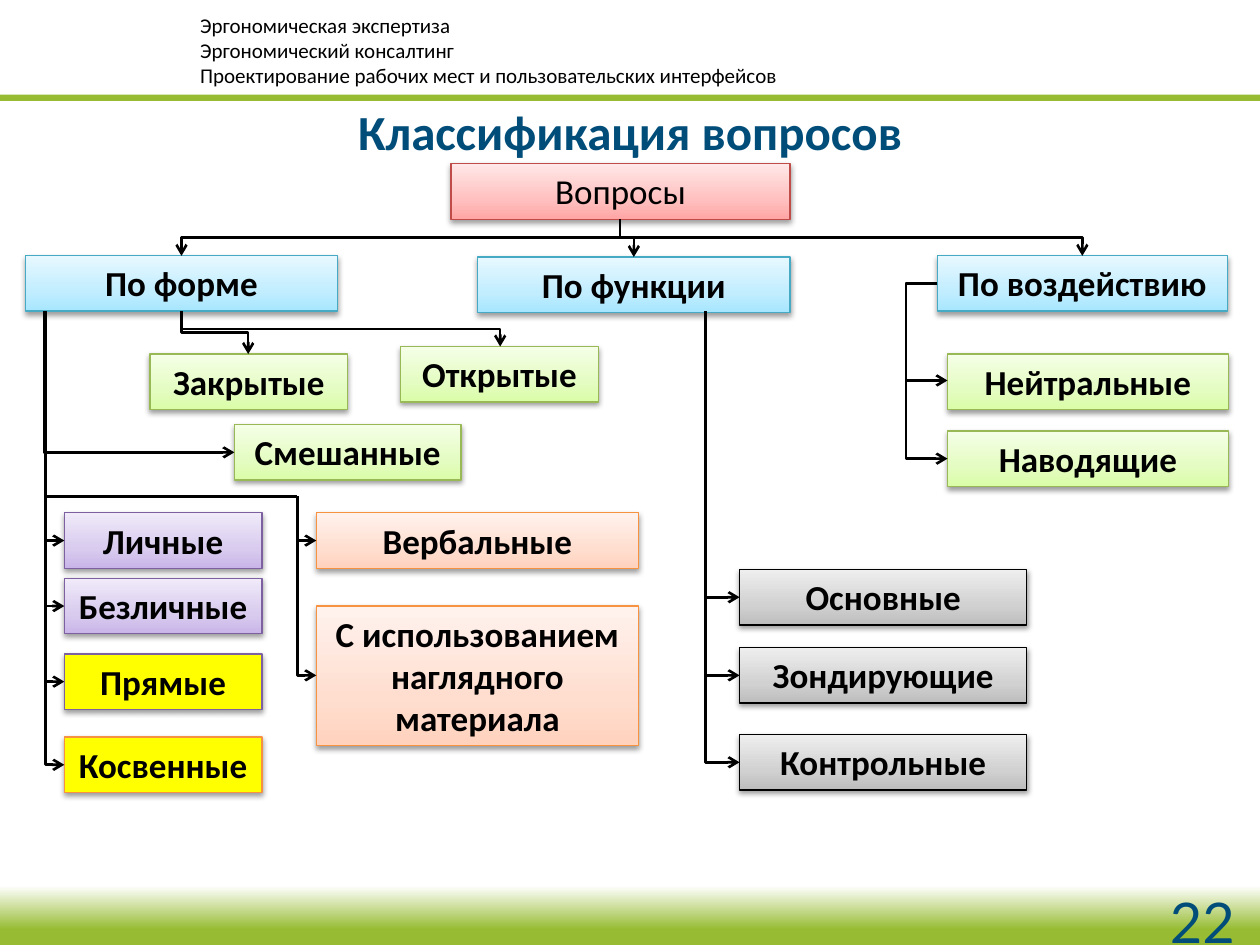
"""Build the slide that classifies interview questions as a tree of boxes."""
from copy import deepcopy
from typing import NamedTuple, Optional

from lxml import etree
from pptx import Presentation
from pptx.dml.color import RGBColor
from pptx.enum.shapes import MSO_CONNECTOR, MSO_SHAPE
from pptx.enum.text import MSO_ANCHOR, MSO_AUTO_SIZE, PP_ALIGN
from pptx.oxml.ns import qn
from pptx.util import Pt

PX = 9144
RECTANGLE = MSO_SHAPE.RECTANGLE
ELBOW, STRAIGHT = MSO_CONNECTOR.ELBOW, MSO_CONNECTOR.STRAIGHT
TOP, MIDDLE = MSO_ANCHOR.TOP, MSO_ANCHOR.MIDDLE
GROW = MSO_AUTO_SIZE.SHAPE_TO_FIT_TEXT
LEFT, CENTER, RIGHT = PP_ALIGN.LEFT, PP_ALIGN.CENTER, PP_ALIGN.RIGHT

BLACK = RGBColor(0x00, 0x00, 0x00)
WHITE = RGBColor(0xFF, 0xFF, 0xFF)
NAVY = RGBColor(0x00, 0x4D, 0x79)
BRAND_GREEN = RGBColor(0x97, 0xBC, 0x33)
YELLOW = RGBColor(0xFF, 0xFF, 0x00)
RED_EDGE = RGBColor(0xBF, 0x4C, 0x48)
BLUE_EDGE = RGBColor(0x46, 0xAA, 0xC5)
GREEN_EDGE = RGBColor(0x98, 0xB9, 0x55)
PURPLE_EDGE = RGBColor(0x7D, 0x60, 0xA0)
ORANGE_EDGE = RGBColor(0xF6, 0x92, 0x40)
RED_TINTS = RGBColor(0xFF, 0xA6, 0xA5), RGBColor(0xFF, 0xC0, 0xBF), RGBColor(0xFF, 0xE7, 0xE7)
BLUE_TINTS = RGBColor(0xA7, 0xE6, 0xFF), RGBColor(0xC1, 0xED, 0xFF), RGBColor(0xE7, 0xF8, 0xFF)
GREEN_TINTS = RGBColor(0xDA, 0xFD, 0xA7), RGBColor(0xE4, 0xFC, 0xC2), RGBColor(0xF5, 0xFF, 0xE7)
GREY_TINTS = RGBColor(0xBD, 0xBD, 0xBD), RGBColor(0xD1, 0xD1, 0xD1), RGBColor(0xEE, 0xEE, 0xEE)
PURPLE_TINTS = RGBColor(0xC9, 0xB5, 0xE8), RGBColor(0xD8, 0xCB, 0xEE), RGBColor(0xF0, 0xEA, 0xF9)
ORANGE_TINTS = RGBColor(0xFF, 0xD2, 0xBD), RGBColor(0xFF, 0xDE, 0xD0), RGBColor(0xFF, 0xF2, 0xED)


class Style(NamedTuple):
    tints: tuple
    edge: RGBColor
    bold: bool = True


class Box(NamedTuple):
    label: str
    left: int
    top: int
    width: int
    style: Style
    height: int = 44


class Link(NamedTuple):
    x1: int
    y1: int
    x2: int
    y2: int


ROOT = Style(RED_TINTS, RED_EDGE, False)
GROUP = Style(BLUE_TINTS, BLUE_EDGE)
KIND = Style(GREEN_TINTS, GREEN_EDGE)
ROLE = Style(GREY_TINTS, BLACK)
PERSONAL = Style(PURPLE_TINTS, PURPLE_EDGE)
MEDIUM = Style(ORANGE_TINTS, ORANGE_EDGE)
DIRECT = Style((YELLOW,), PURPLE_EDGE)
INDIRECT = Style((YELLOW,), ORANGE_EDGE)

BOXES = (
    Box("Вопросы", 358, 130, 269, ROOT),
    Box("По форме", 20, 203, 248, GROUP),
    Box("По функции", 379, 204, 248, GROUP),
    Box("По воздействию", 744, 203, 230, GROUP),
    Box("Нейтральные", 752, 281, 223, KIND),
    Box("Наводящие", 752, 342, 223, KIND),
    Box("Открытые", 318, 275, 157, KIND),
    Box("Закрытые", 119, 281, 157, KIND),
    Box("Смешанные", 186, 337, 180, KIND),
    Box("Основные", 587, 452, 228, ROLE),
    Box("Зондирующие", 587, 514, 228, ROLE),
    Box("Контрольные", 587, 583, 228, ROLE),
    Box("Личные", 51, 407, 157, PERSONAL),
    Box("Безличные", 51, 459, 157, PERSONAL),
    Box("Прямые", 51, 519, 157, DIRECT),
    Box("Косвенные", 51, 585, 157, INDIRECT),
    Box("Вербальные", 251, 407, 256, MEDIUM),
    Box("С использованием наглядного материала", 251, 481, 256, MEDIUM, 111),
)
DROPS = (
    Link(492, 174, 144, 203), Link(492, 174, 859, 203), Link(492, 174, 503, 204),
    Link(144, 247, 397, 275), Link(144, 247, 197, 281),
)
CORNERS = (
    *(Link(36, 247, 51, y) for y in (429, 481, 541, 607)),
    Link(35, 247, 186, 359),
    Link(560, 436, 587, 474), Link(560, 355, 587, 536), Link(560, 247, 587, 605),
    *(Link(236, 394, 251, y) for y in (429, 536)),
)
BRACKETS = tuple(Link(744, 225, 752, y) for y in (302, 364))
BRACKET_REACH = -25


def write(frame, lines: tuple, size: int, color: RGBColor, align, bold: bool = False,
          font: str = "Calibri") -> None:
    frame.word_wrap = True
    frame.text = "\n".join(lines)
    for paragraph in frame.paragraphs:
        paragraph.alignment = align
        paragraph.font.name = font
        paragraph.font.size = Pt(size)
        paragraph.font.bold = bold
        paragraph.font.color.rgb = color


def add_label(slide, left: int, top: int, width: int, height: int):
    return slide.shapes.add_textbox(left * PX, top * PX, width * PX, height * PX).text_frame


def add_panel(slide, left: int, top: int, width: int, height: int, tints: tuple,
              middle_stop: float = 0.35):
    panel = slide.shapes.add_shape(RECTANGLE, left * PX, top * PX, width * PX, height * PX)
    panel.shadow.inherit = False
    panel.line.fill.background()
    if len(tints) == 1:
        panel.fill.solid()
        panel.fill.fore_color.rgb = tints[0]
        return panel
    panel.fill.gradient()
    panel.fill.gradient_angle = 90
    stop_list = panel._element.spPr.find(qn("a:gradFill")).find(qn("a:gsLst"))
    stop_list.append(deepcopy(stop_list[-1]))
    for stop, tint, position in zip(panel.fill.gradient_stops, tints, (0, middle_stop, 1)):
        stop.color.rgb = tint
        stop.position = position
    return panel


def add_box(slide, box: Box) -> None:
    panel = add_panel(slide, box.left, box.top, box.width, box.height, box.style.tints)
    panel.line.color.rgb = box.style.edge
    panel.line.width = Pt(0.75)
    effects = panel._element.spPr.find(qn("a:effectLst"))
    shadow = etree.SubElement(effects, qn("a:outerShdw"), blurRad="40000", dist="20000",
                              dir="5400000", rotWithShape="0")
    shade = etree.SubElement(shadow, qn("a:srgbClr"), val=str(BLACK))
    etree.SubElement(shade, qn("a:alpha"), val="38000")
    write(panel.text_frame, (box.label,), 20, BLACK, CENTER, box.style.bold)
    panel.text_frame.vertical_anchor = TOP
    panel.text_frame.auto_size = GROW


def add_line(slide, kind, link: Link, arrow: bool = True):
    connector = slide.shapes.add_connector(kind, *(value * PX for value in link))
    connector.line.color.rgb = BLACK
    connector.line.width = Pt(1.5)
    properties = connector._element.spPr
    if arrow:
        etree.SubElement(properties.find(qn("a:ln")), qn("a:tailEnd"), type="arrow")
    etree.SubElement(properties, qn("a:effectLst"))
    return connector


def add_drop(slide, link: Link, preset: str = "bentConnector3") -> None:
    connector = add_line(slide, ELBOW, link)
    run, drop = abs(link.x2 - link.x1) * PX, (link.y2 - link.y1) * PX
    connector.left = (link.x1 + link.x2) * PX // 2 - drop // 2
    connector.top = (link.y1 + link.y2) * PX // 2 - run // 2
    connector.width, connector.height = drop, run
    properties = connector._element.spPr
    properties.find(qn("a:prstGeom")).set("prst", preset)
    frame = properties.find(qn("a:xfrm"))
    rightward = link.x2 > link.x1
    frame.set("rot", "16200000" if rightward else "5400000")
    frame.set("flipH", "1" if rightward else "0")


def add_bracket(slide, link: Link, reach: int) -> None:
    geometry = add_line(slide, ELBOW, link)._element.spPr.find(qn("a:prstGeom"))
    bend = reach * 100000 // (link.x2 - link.x1)
    etree.SubElement(geometry.find(qn("a:avLst")), qn("a:gd"), name="adj1", fmla=f"val {bend}")


def add_frame(slide, number: Optional[str]) -> None:
    add_panel(slide, -16, 703, 1047, 55, (BRAND_GREEN, BRAND_GREEN, WHITE), 0.37)
    add_panel(slide, -47, 75, 1078, 5, (BRAND_GREEN,))
    services = ("Эргономическая экспертиза", "Эргономический консалтинг",
                "Проектирование рабочих мест и пользовательских интерфейсов")
    write(add_label(slide, 149, 5, 761, 70), services, 12, BLACK, LEFT)
    page = add_label(slide, 757, 711, 233, 40)
    write(page, (number,), 32, NAVY, RIGHT, font="Lato")
    page.vertical_anchor = MIDDLE


def main() -> None:
    deck = Presentation()
    deck.slide_width, deck.slide_height = 1000 * PX, 750 * PX
    slide = deck.slides.add_slide(deck.slide_layouts[6])
    add_frame(slide, "22")
    write(add_label(slide, 0, 76, 1000, 57), ("Классификация вопросов",), 28, NAVY, CENTER, True)
    for box in BOXES:
        add_box(slide, box)
    for link in DROPS:
        add_drop(slide, link)
    for link in CORNERS:
        add_drop(slide, link, "bentConnector2")
    for link in BRACKETS:
        add_bracket(slide, link, BRACKET_REACH)
    add_line(slide, STRAIGHT, Link(236, 394, 35, 394), arrow=False)
    deck.save("out.pptx")


if __name__ == "__main__":
    main()
